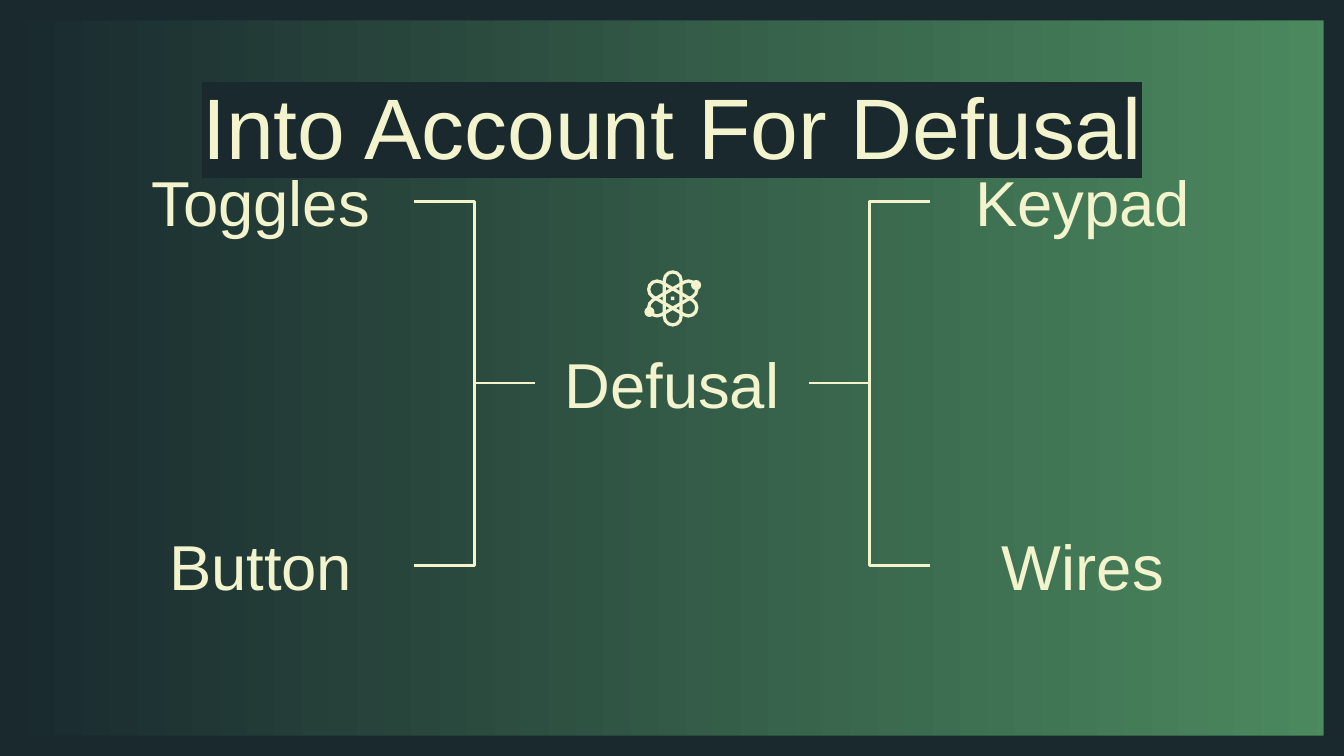
from typing import NamedTuple

from lxml.etree import SubElement
from pptx import Presentation
from pptx.dml.color import RGBColor
from pptx.enum.shapes import MSO_CONNECTOR, MSO_SHAPE
from pptx.enum.text import MSO_ANCHOR, MSO_AUTO_SIZE, PP_ALIGN
from pptx.oxml.ns import qn
from pptx.util import Pt

CREAM = RGBColor(0xF3, 0xF4, 0xCD)
DARK = RGBColor(0x19, 0x29, 0x2E)
GREEN = RGBColor(0x4C, 0x8A, 0x5F)
FONT = "Arial"
LABEL_HEIGHT = 30.4
ATOM_X, ATOM_Y = 360.4, 159.9


class Label(NamedTuple):
    text: str
    left: float
    top: float
    width: float
    side: int


class Dot(NamedTuple):
    dx: float
    dy: float
    size: float
    shape: MSO_SHAPE


CENTER = Label("Defusal", 286.6, 190, 146.8, 0)
MODULES = [
    Label("Toggles", 57.6, 92.8, 164.2, 3),
    Label("Keypad", 498, 92.8, 164.2, 1),
    Label("Button", 57.6, 287.8, 164.2, 3),
    Label("Wires", 498, 287.8, 164.2, 1),
]
DOTS = [
    Dot(0, 0, 1.8, MSO_SHAPE.RECTANGLE),
    Dot(12.5, -7.2, 5.4, MSO_SHAPE.OVAL),
    Dot(-12.5, 7.2, 5.4, MSO_SHAPE.OVAL),
]


def write(sp, text: str, size: float, anchor: MSO_ANCHOR):
    tf = sp.text_frame
    tf.word_wrap = True
    tf.auto_size = MSO_AUTO_SIZE.NONE
    tf.vertical_anchor = anchor
    tf.margin_left = tf.margin_right = tf.margin_top = tf.margin_bottom = Pt(7.2)
    p = tf.paragraphs[0]
    p.alignment = PP_ALIGN.CENTER
    r = p.add_run()
    r.text = text
    r.font.size = Pt(size)
    r.font.color.rgb = CREAM
    r.font.name = FONT
    return r


def add_title(s, text: str) -> None:
    sp = s.shapes.title
    sp.left, sp.top, sp.width, sp.height = Pt(67.5), Pt(27.4), Pt(585), Pt(65.5)
    r = write(sp, text, 46, MSO_ANCHOR.TOP)
    sp.text_frame.margin_top = Pt(12)
    r_pr = r.font._element
    highlight = SubElement(r_pr, qn("a:highlight"))
    SubElement(highlight, qn("a:srgbClr")).set("val", str(DARK))
    r_pr.find(qn("a:solidFill")).addnext(highlight)


def add_frame(s) -> None:
    sp = s.shapes.add_shape(MSO_SHAPE.FRAME, 0, 0, Pt(720), Pt(405))
    sp.adjustments[0] = 0.027
    sp.shadow.inherit = False
    sp.fill.solid()
    sp.fill.fore_color.rgb = DARK
    sp.line.fill.background()
    s.shapes.title._element.addprevious(sp._element)


def add_label(s, label: Label):
    sp = s.shapes.add_textbox(
        Pt(label.left), Pt(label.top), Pt(label.width), Pt(LABEL_HEIGHT)
    )
    write(sp, label.text, 34, MSO_ANCHOR.MIDDLE)
    return sp


def add_branch(s, center, module, side: int) -> None:
    c = s.shapes.add_connector(MSO_CONNECTOR.ELBOW, 0, 0, 0, 0)
    c.begin_connect(center, 4 - side)
    c.end_connect(module, side)
    c.line.color.rgb = CREAM
    c.line.width = Pt(1.5)
    SubElement(c._element.spPr, qn("a:effectLst"))


def add_orbit(s, angle: float) -> None:
    width, height = 9, 28.4
    sp = s.shapes.add_shape(
        MSO_SHAPE.ROUNDED_RECTANGLE,
        Pt(ATOM_X - width / 2), Pt(ATOM_Y - height / 2), Pt(width), Pt(height),
    )
    sp.adjustments[0] = 0.5
    sp.rotation = angle
    sp.shadow.inherit = False
    sp.fill.background()
    sp.line.color.rgb = CREAM
    sp.line.width = Pt(1.75)


def add_dot(s, dot: Dot) -> None:
    sp = s.shapes.add_shape(
        dot.shape,
        Pt(ATOM_X + dot.dx - dot.size / 2), Pt(ATOM_Y + dot.dy - dot.size / 2),
        Pt(dot.size), Pt(dot.size),
    )
    sp.shadow.inherit = False
    sp.fill.solid()
    sp.fill.fore_color.rgb = CREAM
    sp.line.fill.background()


def main() -> None:
    prs = Presentation()
    prs.slide_width, prs.slide_height = Pt(720), Pt(405)
    s = prs.slides.add_slide(prs.slide_layouts[5])
    fill = s.background.fill
    fill.gradient()
    fill.gradient_angle = 180
    for stop, color in zip(fill.gradient_stops, (GREEN, DARK)):
        stop.color.rgb = color
    add_frame(s)
    add_title(s, "Into Account For Defusal")
    center = add_label(s, CENTER)
    for label in MODULES:
        add_branch(s, center, add_label(s, label), label.side)
    for angle in (0, 60, 120):
        add_orbit(s, angle)
    for dot in DOTS:
        add_dot(s, dot)
    prs.save("out.pptx")


if __name__ == "__main__":
    main()
